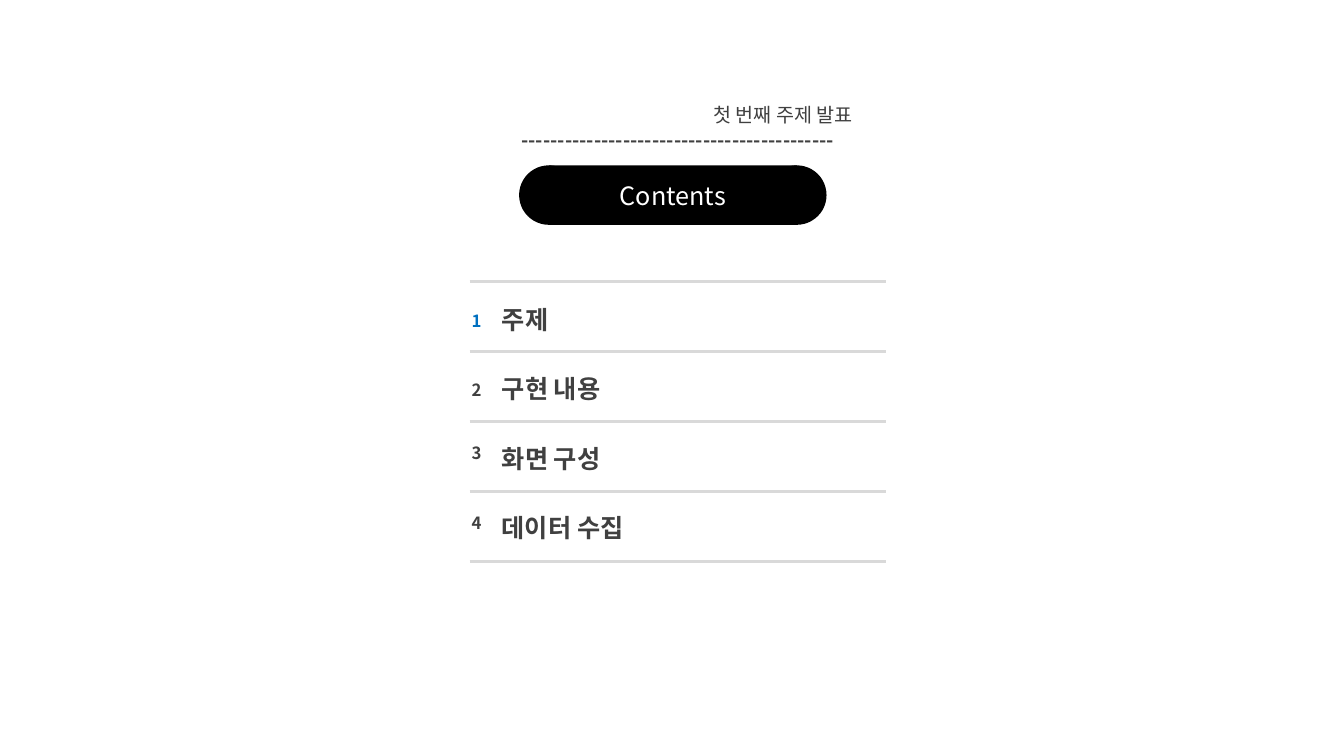
"""Build a contents slide with a pill-shaped title and a ruled list of topics."""
import pptx
import pptx.dml.color
import pptx.enum.shapes
import pptx.enum.text
import pptx.oxml.ns
import pptx.util

RGBColor = pptx.dml.color.RGBColor
SHAPES = pptx.enum.shapes.MSO_SHAPE
ALIGN = pptx.enum.text.PP_ALIGN
MIDDLE = pptx.enum.text.MSO_ANCHOR.MIDDLE

BLACK = RGBColor(0x00, 0x00, 0x00)
WHITE = RGBColor(0xFF, 0xFF, 0xFF)
GRAY = RGBColor(0x40, 0x40, 0x40)
BLUE = RGBColor(0x00, 0x70, 0xC0)
RULE = RGBColor(0xD9, 0xD9, 0xD9)

FONT = "Noto Sans CJK KR"
COLUMNS, ROWS = 160, 90

TOPICS = [("주제", 38.16, 8.52), ("구현 내용", 46.44, 15.6),
          ("화면 구성", 53.88, 15.6), ("데이터 수집", 62.28, 18.6)]
RULE_TOP, RULE_PITCH = 33.48, 8.34
LABEL_MIDDLE, LABEL_PITCH = 38.04, 8.24
PILL_LEFT, PILL_TOP, PILL_WIDTH, PILL_HEIGHT = 61.8, 19.68, 36.6, 7.08


def write_text(frame, text, size=18, color=GRAY, bold=False,
               align=ALIGN.LEFT, wrap=False):
    """Write one formatted paragraph into a text frame."""
    frame.word_wrap = wrap
    frame.auto_size = pptx.enum.text.MSO_AUTO_SIZE.NONE
    frame.vertical_anchor = MIDDLE
    para = frame.paragraphs[0]
    para.alignment = align
    para.line_spacing = 1.0
    para.space_before = pptx.util.Pt(0)
    span = para.add_run()
    span.text = text
    span.font.size = pptx.util.Pt(size)
    span.font.bold = bold
    span.font.color.rgb = color
    span.font.name = FONT
    east_asian = pptx.oxml.ns.qn("a:ea")
    properties = span.font._element
    properties.append(properties.makeelement(east_asian, {"typeface": FONT}))


class ContentsPage:
    """Hold the deck, its grid and the current slide."""

    def __init__(self):
        """Start a widescreen deck with one title-only slide."""
        self.deck = pptx.Presentation()
        self.deck.slide_width = pptx.util.Inches(13.33)
        self.deck.slide_height = pptx.util.Inches(7.5)
        self.page = self.deck.slides.add_slide(self.deck.slide_layouts[5])

    def place(self, left, top, width, height):
        """Turn grid columns and rows into slide lengths."""
        column = self.deck.slide_width / COLUMNS
        row = self.deck.slide_height / ROWS
        return (round(left * column), round(top * row),
                round(width * column), round(height * row))

    def title(self, text, *area):
        """Fill and place the title placeholder."""
        box = self.page.shapes.title
        box.left, box.top, box.width, box.height = self.place(*area)
        box.fill.solid()
        box.fill.fore_color.rgb = BLACK
        write_text(box.text_frame, text, color=WHITE, align=ALIGN.CENTER, wrap=True)

    def disc(self, left, top, size):
        """Add a round end of the title pill."""
        disc = self.page.shapes.add_shape(
            SHAPES.OVAL, *self.place(left, top, size, size))
        disc.shadow.inherit = False
        disc.fill.solid()
        disc.fill.fore_color.rgb = BLACK
        disc.line.fill.background()

    def text(self, text, left, middle, width, height, **style):
        """Add a text box centred on a grid row."""
        box = self.page.shapes.add_textbox(
            *self.place(left, middle - height / 2, width, height))
        write_text(box.text_frame, text, **style)

    def rule(self, left, top, width):
        """Add a horizontal rule."""
        x, y, length, _ = self.place(left, top, width, 0)
        line = self.page.shapes.add_connector(
            pptx.enum.shapes.MSO_CONNECTOR.STRAIGHT, x, y, x + length, y)
        line.line.color.rgb = RULE
        line.line.width = pptx.util.Pt(2.25)
        properties = line._element.spPr
        properties.append(properties.makeelement(pptx.oxml.ns.qn("a:effectLst"), {}))


def main():
    """Draw the slide and save it."""
    sheet = ContentsPage()
    radius = PILL_HEIGHT / 2
    sheet.title("Contents", PILL_LEFT + radius, PILL_TOP,
                PILL_WIDTH - PILL_HEIGHT, PILL_HEIGHT)
    for left in (PILL_LEFT, PILL_LEFT + PILL_WIDTH - PILL_HEIGHT):
        sheet.disc(left, PILL_TOP, PILL_HEIGHT)

    for index in range(len(TOPICS) + 1):
        sheet.rule(55.92, RULE_TOP + index * RULE_PITCH, 49.56)
    for index, (topic, number_middle, width) in enumerate(TOPICS):
        sheet.text(str(index + 1), 54.96, number_middle, 3.72, 3.6,
                   size=12, bold=True, color=GRAY if index else BLUE)
        sheet.text(topic, 58.56, LABEL_MIDDLE + index * LABEL_PITCH,
                   width, 4.8, bold=True)

    sheet.text("-------------------------------------------",
               58.68, 16.68, 44.04, 4.08, size=14, bold=True, align=ALIGN.CENTER)
    sheet.text("첫 번째 주제 발표", 82.56, 13.68, 21.36, 4.08,
               size=14, align=ALIGN.CENTER)
    sheet.deck.save("out.pptx")


if __name__ == "__main__":
    main()
